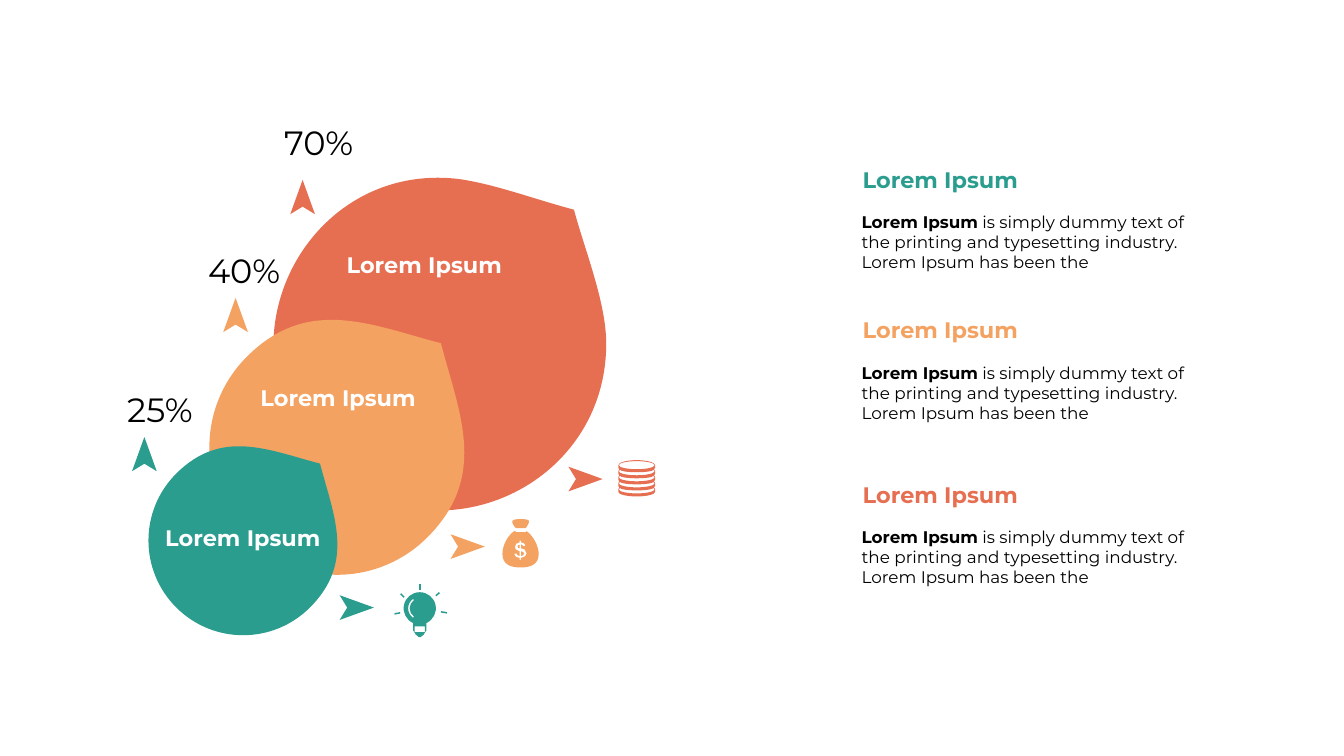
from dataclasses import dataclass
from math import cos, hypot, radians, sin, tan

from lxml import etree
from pptx import Presentation
from pptx.dml.color import RGBColor
from pptx.enum.text import MSO_AUTO_SIZE, PP_ALIGN
from pptx.oxml.ns import qn
from pptx.util import Inches, Pt

GROW = MSO_AUTO_SIZE.SHAPE_TO_FIT_TEXT
LEFT, CENTER = PP_ALIGN.LEFT, PP_ALIGN.CENTER

FONT = "Montserrat"
TEAL, SAND, CORAL = "2A9D8F", "F4A261", "E76F51"
BLACK, WHITE = "000000", "FFFFFF"
TITLE = "Lorem Ipsum"
BODY = (" is simply dummy text of the printing and typesetting industry. "
        "Lorem Ipsum has been the")

# A segment is one point (straight) or three (cubic curve)
Point = tuple[float, float]
Segment = tuple[Point, ...]
Contour = list[Segment]

# Drop outlines in a unit square
DROP = [
    ((0.146, 0.146),),
    ((-0.05, 0.342), (-0.05, 0.658), (0.146, 0.854)),
    ((0.342, 1.05), (0.658, 1.05), (0.854, 0.854)),
    ((1.095, 0.613), (0.978, 0.366), (0.907, 0.093)),
    ((0.634, 0.022), (0.387, -0.095), (0.146, 0.146)),
]
WIDE_DROP = [
    ((0.147, 0.853),),
    ((0.465, 1.171), (1, 0.942), (1, 0.5)),
    ((1, 0.376), (0.936, 0.22), (0.903, 0.097)),
    ((0.782, 0.065), (0.668, 0.021), (0.558, 0.005)),
    ((0.092, -0.052), (-0.189, 0.517), (0.147, 0.853)),
]
ARROW = [(0, 0), (0.68, 0.245), (0, 0.49), (0.15, 0.245)]


@dataclass
class Level:
    color: str
    outline: Contour
    drop: Point
    size: float
    label: Point
    percent: str
    percent_at: Point
    up_arrow: Point
    right_arrow: Point
    heading_top: float


LEVELS = [
    Level(CORAL, WIDE_DROP, (5.43, 3.52), 6.6, (6.78, 4.93), "70%", (5.23, 2.36),
          (5.76, 3.57), (11.28, 9.26), 9.49),
    Level(SAND, DROP, (4.16, 6.34), 5.06, (5.07, 7.57), "40%", (3.75, 4.91),
          (4.43, 5.91), (8.94, 10.6), 6.23),
    Level(TEAL, DROP, (2.95, 8.85), 3.75, (3.18, 10.36), "25%", (2.08, 7.66),
          (2.62, 8.67), (6.74, 11.81), 3.24),
]


def rgb(color: str) -> RGBColor:
    return RGBColor.from_string(color)


def lines(*points: Point) -> Contour:
    return [(p,) for p in points]


def arc(cx: float, cy: float, rx: float, ry: float, start: int, end: int) -> Contour:
    """Elliptical arc in four or fewer curves; angles run clockwise from the right."""
    count = -(-abs(end - start) // 90)
    step = radians(end - start) / count
    k = 4 / 3 * tan(step / 4)

    def at(a: float, pull: float = 0) -> Point:
        return (cx + rx * (cos(a) - pull * sin(a)), cy + ry * (sin(a) + pull * cos(a)))

    angles = [radians(start) + i * step for i in range(count + 1)]
    return [(at(angles[0]),)] + [(at(a, k), at(b, -k), at(b))
                                 for a, b in zip(angles, angles[1:])]


def place(contour: Contour, origin: Point, scale: float = 1) -> Contour:
    return [tuple((origin[0] + x * scale, origin[1] + y * scale) for x, y in seg)
            for seg in contour]


def samples(contour: Contour) -> list[Point]:
    """Points on the outline, for its extent."""
    points = [contour[0][0]]
    for seg in contour[1:]:
        if len(seg) == 3:
            nodes = (points[-1],) + seg
            for t in (i / 20 for i in range(1, 20)):
                weights = ((1 - t)**3, 3 * t * (1 - t)**2, 3 * t * t * (1 - t), t**3)
                points.append(tuple(sum(w * n[k] for w, n in zip(weights, nodes))
                                    for k in (0, 1)))
        points.append(seg[-1])
    return points


def add_outline(s, color: str, *contours: Contour) -> None:
    """One filled freeform; contours inside the first one are holes."""
    xs, ys = zip(*samples(contours[0]))
    left, top, right, bottom = (Inches(v) for v in (min(xs), min(ys), max(xs), max(ys)))
    builder = s.shapes.build_freeform(left, top)
    builder.add_line_segments([(right, top), (right, bottom), (left, bottom)])
    sp = builder.convert_to_shape()
    sp.shadow.inherit = False
    sp.fill.solid()
    sp.fill.fore_color.rgb = rgb(color)
    sp.line.fill.background()

    # Curves need XML: refill the frame's geometry
    geometry = sp._element.find(".//" + qn("a:path"))
    for child in list(geometry):
        geometry.remove(child)
    for contour in contours:
        for i, seg in enumerate(contour):
            tag = "a:moveTo" if i == 0 else "a:lnTo" if len(seg) == 1 else "a:cubicBezTo"
            command = etree.SubElement(geometry, qn(tag))
            for x, y in seg:
                etree.SubElement(command, qn("a:pt"),
                                 x=str(Inches(x) - left), y=str(Inches(y) - top))
        etree.SubElement(geometry, qn("a:close"))


def add_ray(s, start: Point, end: Point, color: str) -> None:
    (x1, y1), (x2, y2) = start, end
    length = hypot(x2 - x1, y2 - y1)
    dx, dy = 0.015 * (y1 - y2) / length, 0.015 * (x2 - x1) / length
    add_outline(s, color, lines((x1 + dx, y1 + dy), (x2 + dx, y2 + dy),
                                (x2 - dx, y2 - dy), (x1 - dx, y1 - dy)))


def add_text(s, at: Point, width: float, height: float, runs: list[tuple[str, bool]],
             size: int, color: str, align=LEFT) -> None:
    tf = s.shapes.add_textbox(
        Inches(at[0]), Inches(at[1]), Inches(width), Inches(height)).text_frame
    tf.word_wrap = True
    tf.auto_size = GROW
    p = tf.paragraphs[0]
    p.alignment = align
    for text, bold in runs:
        r = p.add_run()
        r.text = text
        r.font.name = FONT
        r.font.size = Pt(size)
        r.font.bold = bold
        r.font.color.rgb = rgb(color)


def add_level(s, level: Level) -> None:
    add_outline(s, level.color, place(level.outline, level.drop, level.size))
    add_outline(s, level.color, place(lines(*ARROW), level.right_arrow))
    up = [(y, 0.68 - x) for x, y in ARROW]
    add_outline(s, level.color, place(lines(*up), level.up_arrow))


def add_level_text(s, level: Level) -> None:
    title = [(TITLE, True)]
    add_text(s, level.label, 4.56, 0.64, title, 32, WHITE)
    add_text(s, level.percent_at, 2.19, 0.91, [(level.percent, False)], 48, BLACK, CENTER)
    add_text(s, (17.02, level.heading_top), 4.56, 0.64, title, 32, level.color)
    add_text(s, (17, level.heading_top + 0.91), 7.16, 1.31,
             title + [(BODY, False)], 24, BLACK)


def add_bulb(s) -> None:
    cx, cy = 8.33, 12.07
    base = lines((8.46, 12.51), (8.42, 12.57), (8.41, 12.59), (8.35, 12.64),
                 (8.31, 12.64), (8.25, 12.59), (8.24, 12.57), (8.2, 12.51))
    collar = lines((8.23, 12.43), (8.43, 12.43), (8.43, 12.54), (8.23, 12.54))
    glint = arc(cx, cy, 0.23, 0.23, 125, 235) + arc(cx, cy, 0.2, 0.2, 235, 125)
    for start, end in [((8.33, 11.59), (8.33, 11.7)), ((7.95, 11.78), (8.02, 11.85)),
                       ((7.83, 12.18), (7.94, 12.16)), ((8.75, 12.14), (8.87, 12.16)),
                       ((8.72, 11.76), (8.65, 11.82))]:
        add_ray(s, start, end, TEAL)
    add_outline(s, TEAL, arc(cx, cy, 0.32, 0.32, 114, 426) + base, collar, glint)


def add_money_bag(s) -> None:
    tie = [((10.24, 10.48),),
           ((10.21, 10.46), (10.19, 10.42), (10.17, 10.38)),
           ((10.13, 10.3), (10.25, 10.3), (10.33, 10.3)),
           ((10.42, 10.3), (10.54, 10.3), (10.49, 10.38)),
           ((10.47, 10.43), (10.45, 10.46), (10.43, 10.48))]
    sack = [((10.22, 10.53),),
            ((10.08, 10.61), (9.97, 10.82), (9.97, 10.99)),
            ((9.97, 11.2), (10.13, 11.26), (10.33, 11.26)),
            ((10.53, 11.26), (10.69, 11.2), (10.69, 10.99)),
            ((10.69, 10.83), (10.57, 10.62), (10.45, 10.54))]
    sack += lines((10.43, 10.56), (10.24, 10.56))
    dollar = lines(
        (10.42, 11.04), (10.34, 11.07), (10.34, 11.11), (10.31, 11.11), (10.31, 11.07),
        (10.24, 11.05), (10.2, 10.99), (10.25, 10.98), (10.27, 11.02), (10.31, 11.03),
        (10.31, 10.94), (10.23, 10.9), (10.22, 10.85), (10.24, 10.79), (10.31, 10.76),
        (10.31, 10.73), (10.34, 10.73), (10.34, 10.76), (10.4, 10.78), (10.43, 10.83),
        (10.39, 10.84), (10.34, 10.8), (10.34, 10.88), (10.41, 10.9), (10.45, 10.98))
    upper_bowl = lines((10.27, 10.84), (10.28, 10.87), (10.31, 10.88),
                       (10.31, 10.81), (10.28, 10.82))
    lower_bowl = lines((10.34, 10.94), (10.34, 11.03), (10.38, 11.02),
                       (10.4, 10.98), (10.38, 10.95))
    for outline in (upper_bowl, lower_bowl, tie):
        add_outline(s, SAND, outline)
    add_outline(s, SAND, sack, dollar)


def add_coins(s) -> None:
    cx, pitch, count = 12.635, 0.12, 4
    notches = [(x, y + i * pitch) for i in range(count)
               for x, y in [(13, 9.28), (12.98, 9.31), (13, 9.35)]]
    mirrored = [(2 * cx - x, y) for x, y in reversed(notches)]
    stack = (arc(cx, 9.23, 0.365, 0.1, 180, 360) + lines(*notches)
             + arc(cx, 9.76, 0.365, 0.09, 0, 180) + lines(*mirrored))
    face = arc(cx, 9.23, 0.355, 0.08, 0, 360)
    gaps = [arc(cx, 9.35 + i * pitch, 0.355, 0.08, 0, 180)
            + arc(cx, 9.32 + i * pitch, 0.33, 0.05, 180, 0) for i in range(count)]
    add_outline(s, CORAL, stack, face, *gaps)


def main() -> None:
    prs = Presentation()
    prs.slide_width, prs.slide_height = Inches(26.67), Inches(15)
    s = prs.slides.add_slide(prs.slide_layouts[6])

    # Overlapping drops with their arrows, largest at the back
    for level in LEVELS:
        add_level(s, level)

    # Icons
    add_bulb(s)
    add_money_bag(s)
    add_coins(s)

    # Labels, percentages and descriptions
    for level in LEVELS:
        add_level_text(s, level)

    prs.save("out.pptx")


if __name__ == "__main__":
    main()
